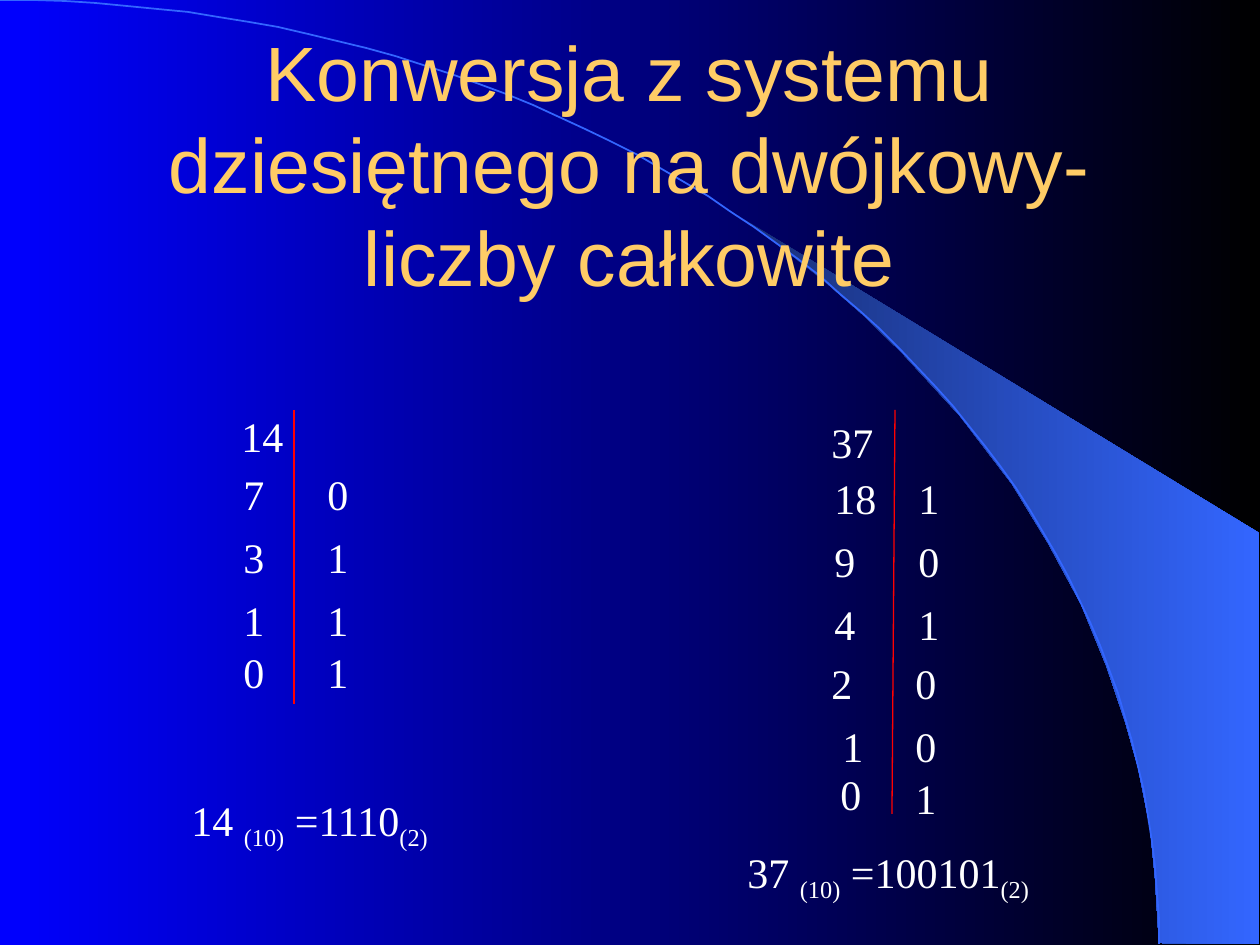
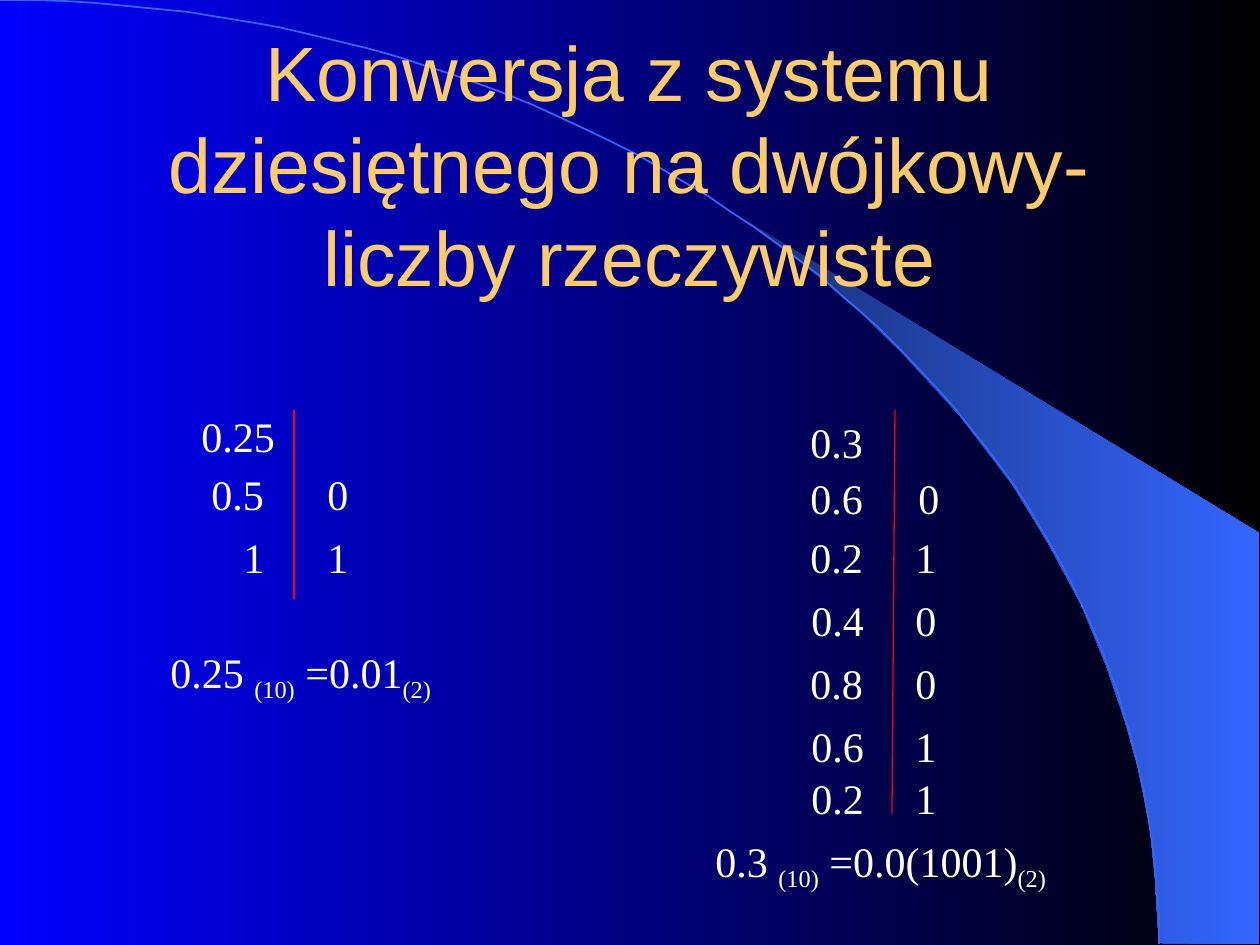
from pptx import Presentation
from pptx.dml.color import RGBColor
from pptx.enum.shapes import MSO_CONNECTOR
from pptx.enum.text import MSO_ANCHOR, PP_ALIGN
from pptx.oxml.ns import qn
from pptx.util import Pt
from lxml.etree import SubElement

PX = 914400 / 126
WIDTH, HEIGHT = 1260, 945
COLORS = {
    "night": "000000", "blue": "0000FF", "navy": "182F76", "sky": "3366FF",
    "gold": "FFCC66", "white": "FFFFFF", "red": "FF0000",
}
TITLE_FONT, BODY_FONT = "Arial", "Times New Roman"
BEAM = [(1159, 943), (1259, 944), (1259, 533), (742, 218), (786, 251),
        (823, 280), (863, 315), (902, 353), (960, 416), (1012, 484),
        (1048, 543), (1081, 604), (1106, 665), (1125, 721), (1138, 767),
        (1150, 827), (1155, 877)]
ARC = [(0, 0), (640, 0), (1159, 422), (1159, 944)]
ARC_STEPS = 60


def px(length):
    return round(length * PX)


def rgb(name):
    return RGBColor.from_string(COLORS[name])


def fill_gradient(fill, start, end):
    fill.gradient()
    fill.gradient_angle = 0
    for stop, name in zip(fill.gradient_stops, (start, end)):
        stop.color.rgb = rgb(name)


def add_outline(page, points, close):
    builder = page.shapes.build_freeform(*points[0], scale=PX)
    builder.add_line_segments(points[1:], close=close)
    shape = builder.convert_to_shape()
    shape.shadow.inherit = False
    return shape


def add_text(page, box, spans, font, size, color):
    """Write (text, is_subscript) spans as one paragraph; box is in px."""
    frame = page.shapes.add_textbox(*map(px, box)).text_frame
    frame.word_wrap = True
    para = frame.paragraphs[0]
    for text, is_subscript in spans:
        span = para.add_run()
        span.text = text
        span.font.name = font
        span.font.size = Pt(size)
        span.font.color.rgb = rgb(color)
        if is_subscript:
            span._r.get_or_add_rPr().set("baseline", "-25000")
    return frame


def bezier(points, t):
    weights = ((1 - t) ** 3, 3 * t * (1 - t) ** 2, 3 * t * t * (1 - t), t ** 3)
    return tuple(round(sum(w * p[axis] for w, p in zip(weights, points)), 2)
                 for axis in (0, 1))


def add_backdrop(page):
    fill_gradient(page.background.fill, "blue", "night")
    # Beam of light on the right
    beam = add_outline(page, BEAM, close=True)
    fill_gradient(beam.fill, "navy", "sky")
    beam.line.fill.background()
    # Thin arc across the page
    points = [bezier(ARC, step / ARC_STEPS) for step in range(ARC_STEPS + 1)]
    arc = add_outline(page, points, close=False)
    arc.fill.background()
    arc.line.color.rgb = rgb("sky")
    arc.line.width = Pt(1)


def add_title(page, text):
    frame = add_text(page, (94, 84, 1071, 158), [(text, False)],
                     TITLE_FONT, 44, "gold")
    frame.vertical_anchor = MSO_ANCHOR.MIDDLE
    frame.paragraphs[0].alignment = PP_ALIGN.CENTER


def add_ladder(page, box, rows):
    """Draw the divider and, beside it, the worked steps and their digits."""
    left, top, lean, height = box
    divider = page.shapes.add_connector(
        MSO_CONNECTOR.STRAIGHT, px(left), px(top),
        px(left + lean), px(top + height))
    divider.line.color.rgb = rgb("red")
    divider.line.width = Pt(0.75)
    SubElement(divider._element.spPr, qn("a:effectLst"))
    # Each row: offset down, then step and digit with their offsets across
    for down, step, step_x, digit, digit_x in rows:
        for text, across in ((step, step_x), (digit, digit_x)):
            if text:
                place = (left + across, top + down, 29 + 21 * len(text), 63)
                add_text(page, place, [(text, False)], BODY_FONT, 24, "white")


def add_result(page, box, decimal, binary):
    spans = [(f"{decimal} ", False), ("(10)", True),
             (f" ={binary}", False), ("(2)", True)]
    add_text(page, box, spans, BODY_FONT, 24, "white")


def add_conversion_page(deck, ending, ladders):
    page = deck.slides.add_slide(deck.slide_layouts[6])
    add_backdrop(page)
    add_title(page, f"Konwersja z systemu dziesiętnego na dwójkowy- {ending}")
    for ladder_box, rows, result_box, decimal, binary in ladders:
        add_ladder(page, ladder_box, rows)
        add_result(page, result_box, decimal, binary)


INTEGERS = [
    ((294, 410, 0, 294),
     [(-6, "14", -65, "", 0), (52, "7", -63, "0", 21), (115, "3", -63, "1", 21),
      (178, "1", -63, "1", 21), (230, "0", -63, "1", 21)],
     (179, 788, 305, 71), "14", "1110"),
    ((895, 410, -3, 404),
     [(0, "37", -76, "", 0), (56, "18", -73, "1", 11), (119, "9", -73, "0", 11),
      (182, "4", -73, "1", 11), (241, "2", -76, "0", 8),
      (304, "1", -65, "0", 8), (352, "0", -67, "", 0), (356, "", 0, "1", 8)],
     (735, 840, 388, 71), "37", "100101"),
]
REALS = [
    ((294, 410, 0, 189),
     [(-6, "0.25", -105, "", 0), (52, "0.5", -95, "0", 21),
      (115, "1", -63, "1", 21)],
     (158, 640, 305, 71), "0.25", "0.01"),
    ((895, 410, -3, 404),
     [(0, "0.3", -97, "", 0), (56, "0.6", -97, "0", 11),
      (115, "0.2", -97, "1", 8), (178, "0.4", -96, "0", 8),
      (241, "0.8", -97, "0", 8), (304, "0.6", -96, "1", 8),
      (356, "0.2", -96, "1", 8)],
     (703, 829, 473, 71), "0.3", "0.0(1001)"),
]


def main():
    deck = Presentation()
    deck.slide_width, deck.slide_height = px(WIDTH), px(HEIGHT)
    add_conversion_page(deck, "liczby całkowite", INTEGERS)
    add_conversion_page(deck, "liczby rzeczywiste", REALS)
    deck.save("out.pptx")


if __name__ == "__main__":
    main()
